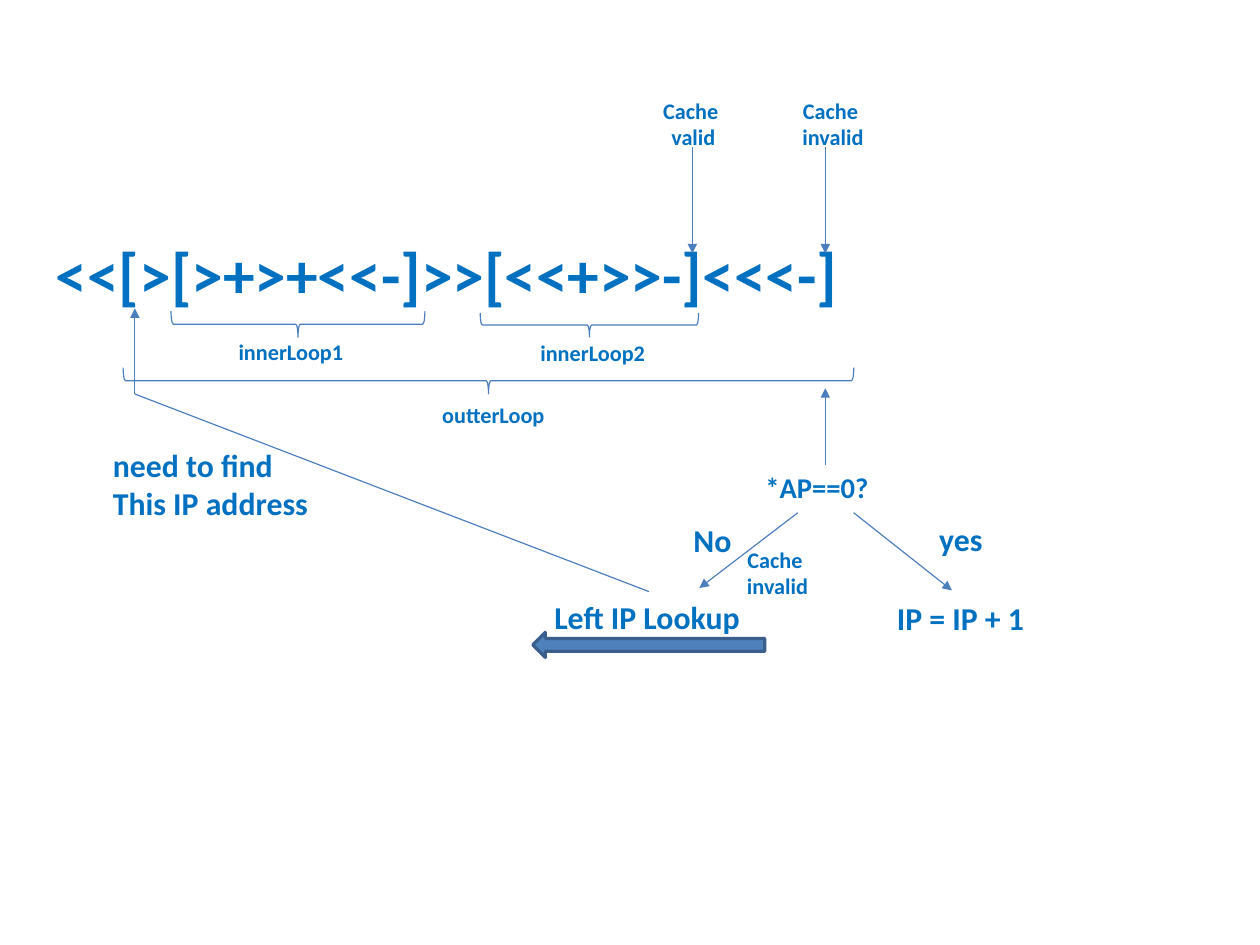
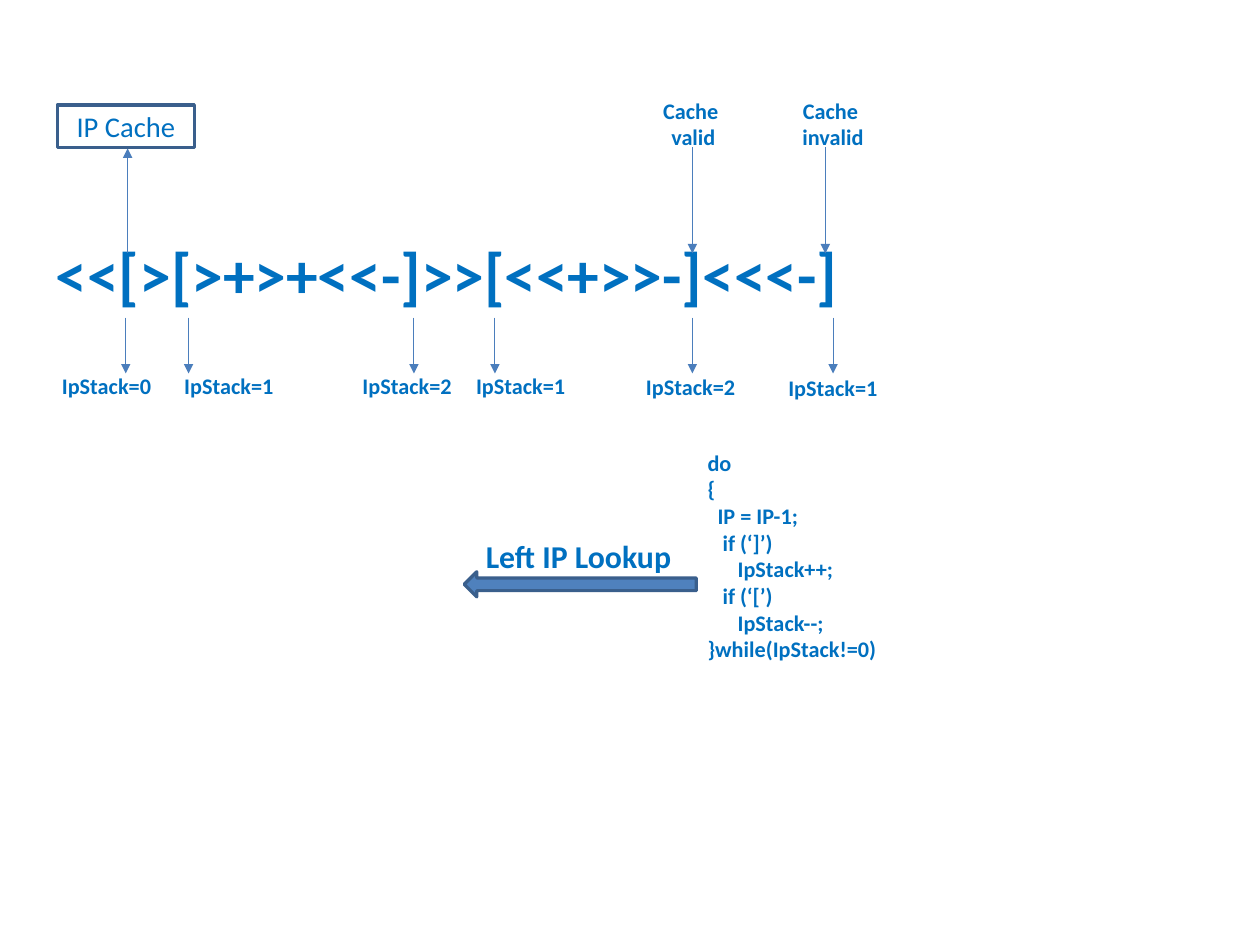
from dataclasses import dataclass
from pptx import Presentation, util as u
from pptx.dml.color import RGBColor
from pptx.enum import shapes, text
from pptx.oxml import parse_xml
from pptx.oxml.ns import nsdecls, qn


@dataclass(frozen=True)
class Theme:
    font: str = "Calibri"
    ink: str = "0070C0"
    thin: str = "4B7EBC"
    fill: str = "4F81BD"
    edge: str = "3A5F8C"
    paper: str = "FFFFFF"
    code: int = 40
    large: int = 20
    medium: int = 18
    small: int = 14
    hairline: float = 0.75
    outline: float = 2


T = Theme()
WIDTH, HEIGHT = u.Cm(28), u.Cm(21)
COL, ROW = WIDTH / 100, HEIGHT / 100  # grid of 100 columns by 100 rows

# Content shared by both slides: text, left, top, width
PROGRAM = ("<<[>[>+>+<<-]>>[<<+>>-]<<<-]", 3.54, 24.27, 63.88)
CACHE_STATES = [("Cache \nvalid", 51.72, 9.67, 6.62),
                ("Cache \ninvalid", 62.75, 9.67, 6.72)]
CACHE_ARROWS = [54.95, 65.5]
CACHE_ROWS = (15.58, 26.82)

# Loop slide
DECISIONS = [("No", 54.14, 54.48, 4.9), ("yes", 73.65, 54.38, 5.35),
             ("need to find \nThis IP address", 8.06, 46.55, 17.51),
             ("IP = IP + 1", 70.29, 62.72, 12.07)]
QUESTION = ("*AP==0?", 59.86, 49.17, 11.25)
LOOP_LABELS = [("innerLoop1", 17.97, 35.19, 10.25),
               ("innerLoop2", 41.92, 35.31, 10.25),
               ("outterLoop", 34.12, 41.84, 10.07),
               ("Cache \ninvalid", 58.35, 57.19, 6.72)]
LOOP_BRACES = [(13.57, 32.92, 20.15, 2.78), (38.11, 33.13, 17.33, 2.54),
               (9.77, 38.9, 57.99, 2.78)]
FLOW_ARROWS = [(65.5, 49.19, 65.5, 41.09), (63.32, 54.26, 55.5, 62.23),
               (67.75, 54.26, 75.55, 62.48), (10.71, 41.7, 10.71, 32.63)]
LOOKUP_PATH = (10.71, 41.7, 51.5, 62.6)

# Stack slide: depth, label left, label top, arrow column
STACK = [(0, 3.97, 38.78, 9.98), (1, 13.68, 38.78, 14.97),
         (2, 27.83, 38.78, 32.85), (1, 36.84, 38.78, 39.28),
         (2, 50.33, 38.9, 54.95), (1, 61.62, 39.06, 66.12)]
STACK_ROWS = (33.62, 39.52)
CACHE_BOX = ("IP Cache", 4.54, 11.12, 10.89, 4.47)
CACHE_LINK = (10.13, 26.82, 10.13, 15.7)
SEARCH = ("do\n{\nIP = IP-1;\nif (‘]’)\nIpStack++;\nif (‘[’)\nIpStack--;\n"
          "}while(IpStack!=0)", 55.26, 46.9, 15.34)
SEARCH_INDENTS = [0, 0, 2, 3, 6, 3, 6, 0]
INDENT_STEP = 3.16  # points


def across(n):
    return u.Emu(round(n * COL))


def down(n):
    return u.Emu(round(n * ROW))


def colour(value):
    return RGBColor.from_string(value)


def write(frame, words, size=T.small, bold=True, centred=False, indents=()):
    for i, line in enumerate(words.split("\n")):
        para = frame.paragraphs[0] if i == 0 else frame.add_paragraph()
        para.alignment = text.PP_ALIGN.CENTER if centred else text.PP_ALIGN.LEFT
        if indents and indents[i]:
            para._p.get_or_add_pPr().set("marL", str(u.Pt(indents[i] * INDENT_STEP)))
        run = para.add_run()
        run.text = line
        run.font.name, run.font.size, run.font.bold = T.font, u.Pt(size), bold
        run.font.color.rgb = colour(T.ink)


def label(slide, words, left, top, width, size=T.small, **style):
    lines = words.count("\n") + 1
    height = u.Inches(0.1 + lines * size * 1.2 / 72)
    frame = slide.shapes.add_textbox(across(left), down(top), across(width), height).text_frame
    frame.word_wrap = False
    frame.auto_size = text.MSO_AUTO_SIZE.SHAPE_TO_FIT_TEXT
    write(frame, words, size, **style)


def line(slide, x1, y1, x2, y2, head=True):
    link = slide.shapes.add_connector(shapes.MSO_CONNECTOR.STRAIGHT, across(x1), down(y1),
                                      across(x2), down(y2))
    link.line.color.rgb, link.line.width = colour(T.thin), u.Pt(T.hairline)
    if head:
        link.line._get_or_add_ln().append(
            parse_xml(f'<a:tailEnd {nsdecls("a")} type="triangle"/>'))
    link._element.spPr.append(link._element.makeelement(qn("a:effectLst"), {}))


def block(slide, kind, left, top, width, height, fill=None, edge=T.edge, weight=T.outline):
    shape = slide.shapes.add_shape(kind, left, top, width, height)
    shape.shadow.inherit = False
    if fill:
        shape.fill.solid()
        shape.fill.fore_color.rgb = colour(fill)
    else:
        shape.fill.background()
    shape.line.color.rgb, shape.line.width = colour(edge), u.Pt(weight)
    return shape


def brace(slide, left, top, span, depth):
    # A right brace turned a quarter, kept centred on the span it marks
    long, short = across(span), down(depth)
    shift = (long - short) // 2
    block(slide, shapes.MSO_SHAPE.RIGHT_BRACE, across(left) + shift, down(top) - shift,
          short, long, edge=T.thin, weight=T.hairline).rotation = 90


def lookup(slide, left, top):
    # The arrow points left under its label
    arrow = block(slide, shapes.MSO_SHAPE.RIGHT_ARROW, across(left - 0.82), down(top + 4.27),
                  across(18.42), down(2.66), fill=T.fill)
    arrow.rotation = 180
    label(slide, "Left IP Lookup", left, top, 16.79, size=T.large)


def program_slide(deck):
    slide = deck.slides.add_slide(deck.slide_layouts[6])
    label(slide, *PROGRAM, size=T.code)
    for column in CACHE_ARROWS:
        line(slide, column, CACHE_ROWS[0], column, CACHE_ROWS[1])
    for state in CACHE_STATES:
        label(slide, *state, centred=True)
    return slide


deck = Presentation()
deck.slide_width, deck.slide_height = WIDTH, HEIGHT

# Loops and the decision at the closing bracket
loops = program_slide(deck)
label(loops, *QUESTION, size=T.medium)
for decision in DECISIONS:
    label(loops, *decision, size=T.large)
lookup(loops, 43.1, 62.64)
for span in LOOP_BRACES:
    brace(loops, *span)
for name in LOOP_LABELS:
    label(loops, *name, centred=True)
for arrow in FLOW_ARROWS:
    line(loops, *arrow)
line(loops, *LOOKUP_PATH, head=False)

# Stack depth at each bracket and the search to the left
stack = program_slide(deck)
line(stack, *CACHE_LINK)
words, left, top, width, height = CACHE_BOX
cache = block(stack, shapes.MSO_SHAPE.RECTANGLE, across(left), down(top), across(width),
              down(height), fill=T.paper)
cache.text_frame.vertical_anchor = text.MSO_ANCHOR.MIDDLE
write(cache.text_frame, words, size=T.medium, bold=False, centred=True)
lookup(stack, 37.66, 56.23)
for depth, left, top, column in STACK:
    line(stack, column, STACK_ROWS[0], column, STACK_ROWS[1])
    label(stack, f"IpStack={depth}", left, top, 8.98, centred=True)
label(stack, *SEARCH, indents=SEARCH_INDENTS)

deck.save("out.pptx")
